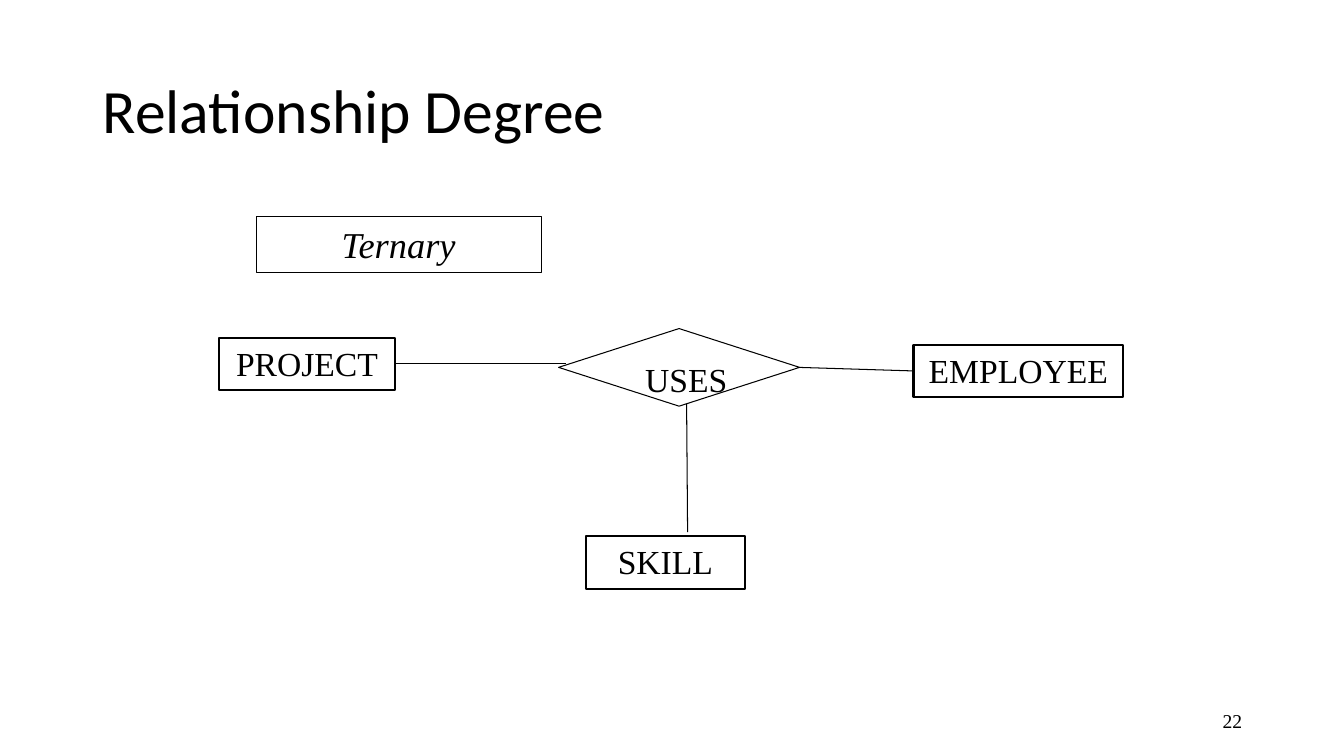
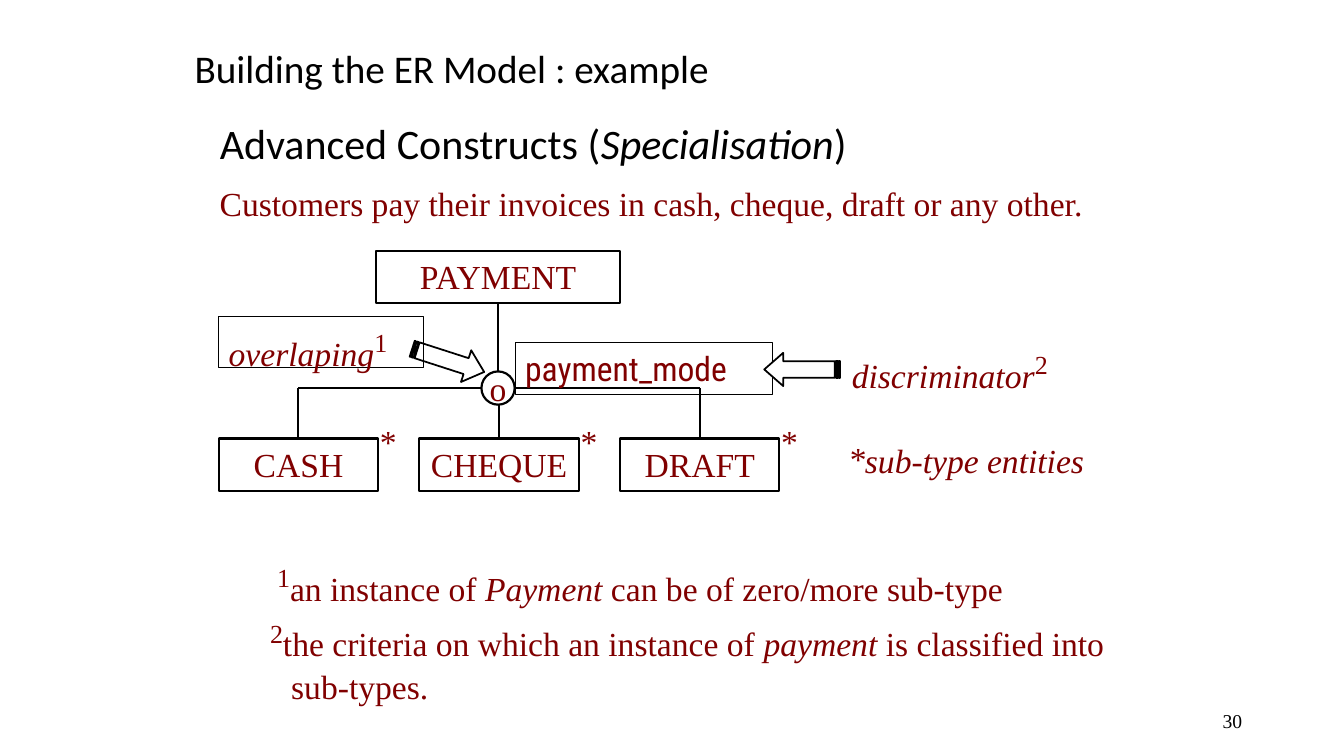
from typing import NamedTuple, Optional

import pptx
import pptx.dml.color
import pptx.enum.shapes
import pptx.enum.text
import pptx.oxml.ns
import pptx.util
from lxml import etree

Inches = pptx.util.Inches
SHAPE = pptx.enum.shapes.MSO_SHAPE
ALIGN = pptx.enum.text.PP_ALIGN
ANCHOR = pptx.enum.text.MSO_ANCHOR

COLORS = {"ink": "000000", "paper": "FFFFFF", "maroon": "800000"}
SERIF = "Times New Roman"
SANS = "Calibri"
CONDENSED = "Roboto Condensed"


class Area(NamedTuple):
    left: float
    top: float
    width: float
    height: float


class Span(NamedTuple):
    text: str
    italic: bool = False
    raised: bool = False


class Style(NamedTuple):
    size: float = 24
    color: str = "ink"
    font: str = SERIF
    align: ALIGN = ALIGN.LEFT
    anchor: ANCHOR = ANCHOR.TOP
    wrap: bool = True


class Box(NamedTuple):
    area: Area
    spans: list[Span]
    style: Style
    line: float = 1.5


BLACK = Style(align=ALIGN.CENTER)
MAROON = Style(color="maroon")
MAROON_CENTER = MAROON._replace(align=ALIGN.CENTER)


def rgb(name: str) -> pptx.dml.color.RGBColor:
    return pptx.dml.color.RGBColor.from_string(COLORS[name])


def place(shape, area: Area) -> None:
    shape.left, shape.top, shape.width, shape.height = map(Inches, area)


def write(shape, spans: list[Span], style: Style):
    tf = shape.text_frame
    tf.word_wrap = style.wrap
    tf.auto_size = pptx.enum.text.MSO_AUTO_SIZE.NONE
    tf.vertical_anchor = style.anchor
    p = tf.paragraphs[0]
    p.alignment = style.align
    p.space_before = pptx.util.Pt(0)
    for span in spans:
        r = p.add_run()
        r.text = span.text
        r.font.name = style.font
        r.font.size = pptx.util.Pt(32 if span.raised else style.size)
        r.font.italic = span.italic
        r.font.color.rgb = rgb(style.color)
        if span.raised:
            r._r.get_or_add_rPr().set("baseline", "30000")
    return p


def hang(p, indent: float) -> None:
    pPr = p._p.get_or_add_pPr()
    pPr.set("marL", str(Inches(indent)))
    pPr.set("indent", str(-Inches(indent)))
    etree.SubElement(pPr, pptx.oxml.ns.qn("a:buNone"))


def add_placeholder(shape, area: Area, spans: list[Span], size: float,
                    anchor: ANCHOR = ANCHOR.MIDDLE):
    place(shape, area)
    p = write(shape, spans, Style(size, font=SANS, anchor=anchor))
    p.line_spacing = 0.9
    return p


def add_text(s, area: Area, spans: list[Span], style: Style):
    return write(s.shapes.add_textbox(*map(Inches, area)), spans, style)


def add_outline(s, kind: SHAPE, area: Area, width: float):
    sp = s.shapes.add_shape(kind, *map(Inches, area))
    sp.shadow.inherit = False
    sp.fill.background()
    sp.line.color.rgb = rgb("ink")
    sp.line.width = pptx.util.Pt(width)
    return sp


def add_box(s, box: Box):
    sp = add_outline(s, SHAPE.RECTANGLE, box.area, box.line)
    write(sp, box.spans, box.style)
    return sp


def add_line(s, start: tuple[float, float], end: tuple[float, float], width: float,
             begin: Optional[tuple] = None, finish: Optional[tuple] = None) -> None:
    line = s.shapes.add_connector(pptx.enum.shapes.MSO_CONNECTOR.STRAIGHT,
                                  *map(Inches, start + end))
    line.line.color.rgb = rgb("ink")
    line.line.width = pptx.util.Pt(width)
    etree.SubElement(line._element.spPr, pptx.oxml.ns.qn("a:effectLst"))
    if begin:
        line.begin_connect(*begin)
    if finish:
        line.end_connect(*finish)


def add_striped_arrow(s, area: Area, rotation: float) -> None:
    sp = add_outline(s, SHAPE.STRIPED_RIGHT_ARROW, area, 1.25)
    sp.fill.solid()
    sp.fill.fore_color.rgb = rgb("paper")
    sp.adjustments[0] = 0.5
    sp.adjustments[1] = 0.57
    sp.rotation = rotation


def new_slide(prs, layout: int, title: str, area: Area, size: float, number: int):
    s = prs.slides.add_slide(prs.slide_layouts[layout])
    add_placeholder(s.shapes.title, area, [Span(title)], size)
    add_text(s, Area(9.42, 6.95, 3, 0.4), [Span(str(number))],
             Style(14, align=ALIGN.RIGHT, anchor=ANCHOR.MIDDLE))
    return s


def build_degree(prs) -> None:
    s = new_slide(prs, 5, "Relationship Degree", Area(0.92, 0.4, 11.5, 1.45), 44, 22)
    add_box(s, Box(Area(2.54, 2.15, 2.83, 0.55), [Span("Ternary", italic=True)],
                   BLACK._replace(size=26), 0.75))
    employee, skill, project = [
        add_box(s, Box(area, [Span(name)], BLACK)) for name, area in (
            ("EMPLOYEE", Area(9.06, 3.42, 2.08, 0.52)),
            ("SKILL", Area(5.81, 5.32, 1.58, 0.52)),
            ("PROJECT", Area(2.17, 3.35, 1.75, 0.52)),
        )]
    uses = add_outline(s, SHAPE.DIAMOND, Area(5.54, 3.26, 2.39, 0.77), 0.75)
    add_text(s, Area(6.3, 3.51, 1.03, 0.5), [Span("USES")], Style(wrap=False))
    add_line(s, (3.92, 3.61), (5.61, 3.61), 0.75, begin=(project, 3))
    add_line(s, (7.93, 3.65), (9.06, 3.68), 0.75, begin=(uses, 3), finish=(employee, 1))
    add_line(s, (6.81, 4.01), (6.82, 5.28), 0.75)


def build_specialisation(prs) -> None:
    s = new_slide(prs, 1, "Building the ER Model : example",
                  Area(1.83, 0.08, 9.42, 1.25), 28, 30)
    heading = add_placeholder(
        s.placeholders[1], Area(2.08, 1.17, 8.58, 0.58),
        [Span("Advanced Constructs ("), Span("Specialisation", italic=True), Span(")")],
        30, ANCHOR.TOP)
    hang(heading, 0.25)
    add_text(s, Area(2.08, 1.77, 9.15, 0.5),
             [Span("Customers pay their invoices in cash, cheque, draft or any other.")], MAROON)

    payment = add_box(s, Box(Area(3.73, 2.49, 2.42, 0.52), [Span("PAYMENT")], MAROON_CENTER))
    hub_x, hub_y, hub_size = 4.94, 3.85, 0.33
    radius = hub_size / 2
    add_line(s, (hub_x, 3.01), (hub_x, hub_y - radius), 1.5, begin=(payment, 2))
    hub = add_outline(s, SHAPE.OVAL,
                      Area(hub_x - radius, hub_y - radius, hub_size, hub_size), 1.55)
    write(hub, [Span("o")], MAROON_CENTER._replace(anchor=ANCHOR.MIDDLE, wrap=False))

    width, top, step = 1.58, 4.35, 1.99
    for i, name in enumerate(("CASH", "CHEQUE", "DRAFT")):
        left = 2.17 + i * step
        center = left + width / 2
        side = i - 1
        subtype = add_box(s, Box(Area(left, top, width, 0.52), [Span(name)], MAROON_CENTER))
        if side:
            add_line(s, (hub_x + side * radius, hub_y), (center, hub_y), 1.5)
        start_y = hub_y if side else hub_y + radius
        add_line(s, (center, start_y), (center, top), 1.5, finish=(subtype, 0))
        add_text(s, Area(left + 1.5, 4.13, 0.33, 0.5), [Span("*")], MAROON)

    add_box(s, Box(Area(5.11, 3.4, 2.55, 0.51), [Span("payment_mode")],
                   MAROON._replace(font=CONDENSED), 0.75))
    add_striped_arrow(s, Area(4.07, 3.41, 0.75, 0.33), 17.9)
    add_box(s, Box(Area(2.17, 3.14, 2.03, 0.51),
                   [Span("overlaping", italic=True), Span("1", raised=True)], MAROON, 0.75))
    add_striped_arrow(s, Area(7.58, 3.5, 0.75, 0.33), 180)

    for area, spans in (
        (Area(8.35, 3.36, 2.8, 0.5), [Span("discriminator", italic=True), Span("2", raised=True)]),
        (Area(8.33, 4.3, 0.33, 0.5), [Span("*")]),
        (Area(8.48, 4.32, 2.42, 0.5), [Span("sub-type entities", italic=True)]),
        (Area(2.65, 5.47, 8.5, 0.5),
         [Span("1", raised=True), Span("an instance of "), Span("Payment", italic=True),
          Span(" can be of zero/more sub-type")]),
    ):
        add_text(s, area, spans, MAROON)
    criteria = add_text(
        s, Area(2.58, 6.02, 8.5, 0.91),
        [Span("2", raised=True), Span("the criteria on which an instance of "),
         Span("payment", italic=True), Span(" is classified into sub-types.")], MAROON)
    hang(criteria, 0.21)


def main() -> None:
    prs = pptx.Presentation()
    prs.slide_width = Inches(13.33)
    prs.slide_height = Inches(7.5)
    build_degree(prs)
    build_specialisation(prs)
    prs.save("out.pptx")


if __name__ == "__main__":
    main()
